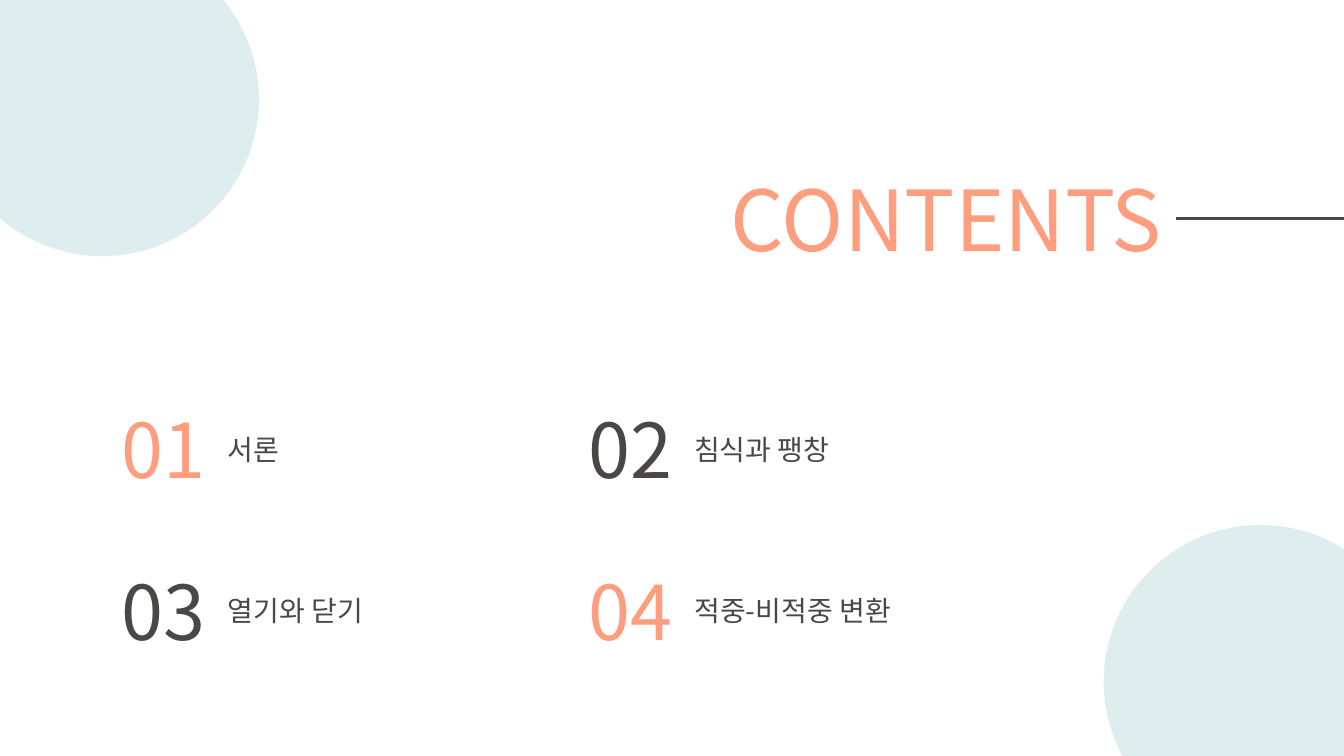
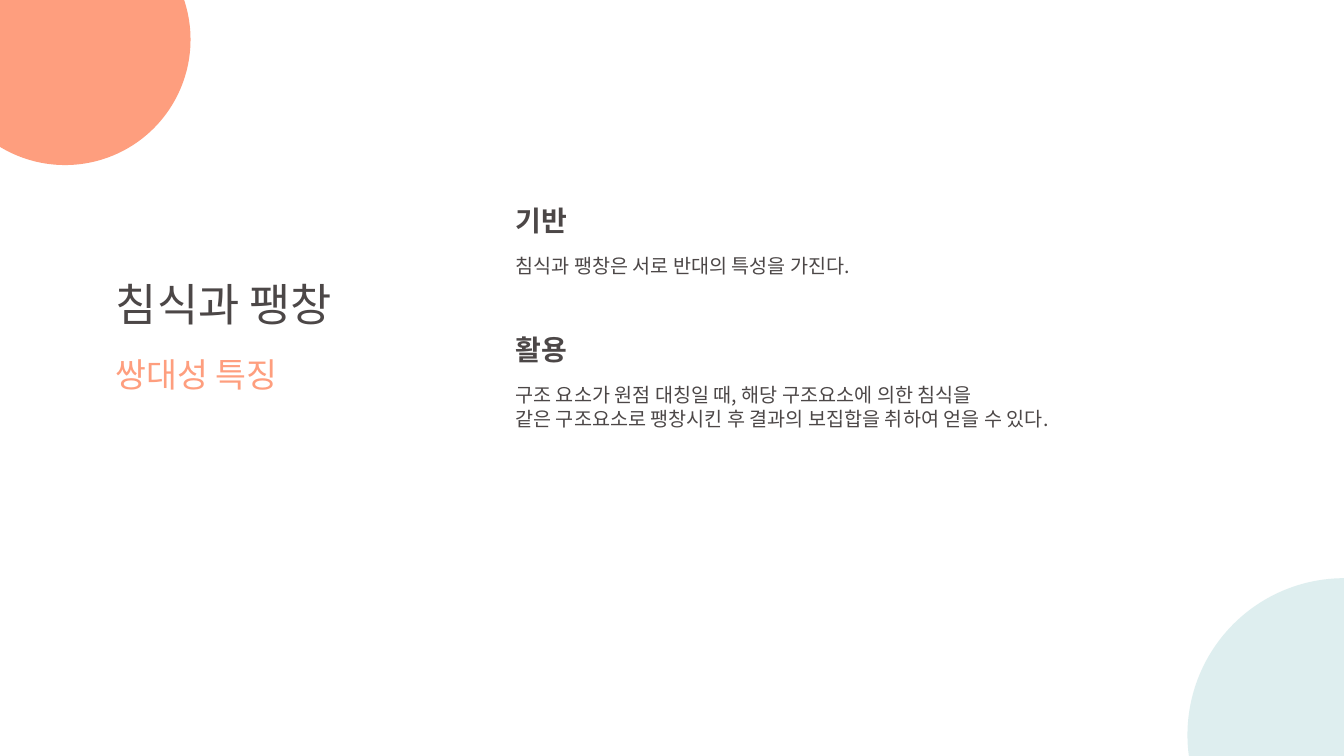
"""Build a contents slide and a topic slide with shared circles and text styles."""
from lxml.etree import SubElement
from pptx import Presentation
from pptx.dml.color import RGBColor
from pptx.enum.shapes import MSO_CONNECTOR, MSO_SHAPE
from pptx.enum.text import MSO_ANCHOR, MSO_AUTO_SIZE, PP_ALIGN
from pptx.oxml.ns import qn
from pptx.util import Pt

CORAL = RGBColor(0xFE, 0x9E, 0x7E)
MINT = RGBColor(0xC8, 0xE4, 0xE5)
DARK = RGBColor(0x4C, 0x47, 0x47)
FONT = "Noto Sans CJK KR"
TITLE_ONLY, COMPARISON = 5, 4
LARGE_CIRCLE = 224


class Deck:
    def __init__(self):
        self.file = Presentation()
        self.file.slide_width, self.file.slide_height = Pt(960), Pt(540)
        self.page = None

    def add_page(self, layout):
        self.page = self.file.slides.add_slide(self.file.slide_layouts[layout])

    def circle(self, left, top, size, color, opacity=100):
        shape = self.page.shapes.add_shape(
            MSO_SHAPE.OVAL, Pt(left), Pt(top), Pt(size), Pt(size))
        shape.shadow.inherit = False
        shape.line.fill.background()
        shape.fill.solid()
        shape.fill.fore_color.rgb = color
        if opacity < 100:
            tint = shape._element.spPr.find(".//" + qn("a:srgbClr"))
            SubElement(tint, qn("a:alpha"), val=str(opacity * 1000))

    def rule(self, left, right, top):
        line = self.page.shapes.add_connector(
            MSO_CONNECTOR.STRAIGHT, Pt(left), Pt(top), Pt(right), Pt(top))
        line.line.color.rgb = DARK
        line.line.width = Pt(2.25)
        SubElement(line._element.spPr, qn("a:effectLst"))

    def text(self, place, lines, size, color=DARK, bold=False):
        box = self.page.shapes.add_textbox(*map(Pt, place))
        self.fill_text(box, lines, size, color, bold)

    def holder(self, index, place, lines, size, color=DARK, bold=False):
        box = self.page.placeholders[index]
        box.left, box.top, box.width, box.height = map(Pt, place)
        self.fill_text(box, lines, size, color, bold)

    def fill_text(self, box, lines, size, color, bold):
        frame = box.text_frame
        frame.word_wrap = False
        frame.auto_size = MSO_AUTO_SIZE.NONE
        frame.vertical_anchor = MSO_ANCHOR.TOP
        for number, line in enumerate(lines):
            para = frame.add_paragraph() if number else frame.paragraphs[0]
            para.alignment = PP_ALIGN.LEFT
            para.space_before = Pt(0)
            settings = para._p.get_or_add_pPr()
            settings.set("marL", "0")
            settings.set("indent", "0")
            SubElement(settings, qn("a:buNone"))
            span = para.add_run()
            span.text = line
            span.font.size = Pt(size)
            span.font.bold = bold
            span.font.color.rgb = color
            span.font.name = FONT
            SubElement(span._r.get_or_add_rPr(), qn("a:ea"), typeface=FONT)


def contents(deck):
    deck.add_page(TITLE_ONLY)
    deck.holder(0, (514.8, 115.9, 325.4, 80), ["CONTENTS"], 60, CORAL)
    deck.rule(840, 960, 156)
    deck.circle(-39, -41, LARGE_CIRCLE, MINT, 60)
    deck.circle(788.4, 375, LARGE_CIRCLE, MINT, 60)
    topics = [("서론", 55), ("침식과 팽창", 122.4),
              ("열기와 닫기", 122.4), ("적중-비적중 변환", 171.4)]
    for index, (topic, width) in enumerate(topics):
        row, column = divmod(index, 2)
        left, top = 80 + 333 * column, 284.4 + 115.2 * row
        color = DARK if (row + column) % 2 else CORAL
        deck.text((left, top, 75.6, 72.7), [f"{index + 1:02}"], 54, color)
        deck.text((left + 75.8, top + 20.9, width, 31.7), [topic], 20)


def duality(deck):
    deck.add_page(COMPARISON)
    deck.circle(-43.2, -61.4, 179.3, CORAL)
    deck.holder(0, (75.6, 193.7, 187.2, 46), ["침식과 팽창"], 32)
    deck.text((75.6, 249, 144, 36), ["쌍대성 특징"], 24, CORAL)
    deck.circle(848.2, 413, LARGE_CIRCLE, MINT, 60)
    sections = [
        ("기반", ["침식과 팽창은 서로 반대의 특성을 가진다."], 283, 24.5),
        ("활용", ["구조 요소가 원점 대칭일 때, 해당 구조요소에 의한 침식을",
                "같은 구조요소로 팽창시킨 후 결과의 보집합을 취하여 얻을 수 있다."],
         440.6, 41),
    ]
    for index, (heading, lines, width, height) in enumerate(sections):
        top = 141.8 + 92.2 * index
        deck.holder(1 + 2 * index, (361, top, 55, 31.7), [heading], 20, bold=True)
        deck.holder(2 + 2 * index, (361, top + 36, width, height), lines, 14)


deck = Deck()
contents(deck)
duality(deck)
deck.file.save("out.pptx")
